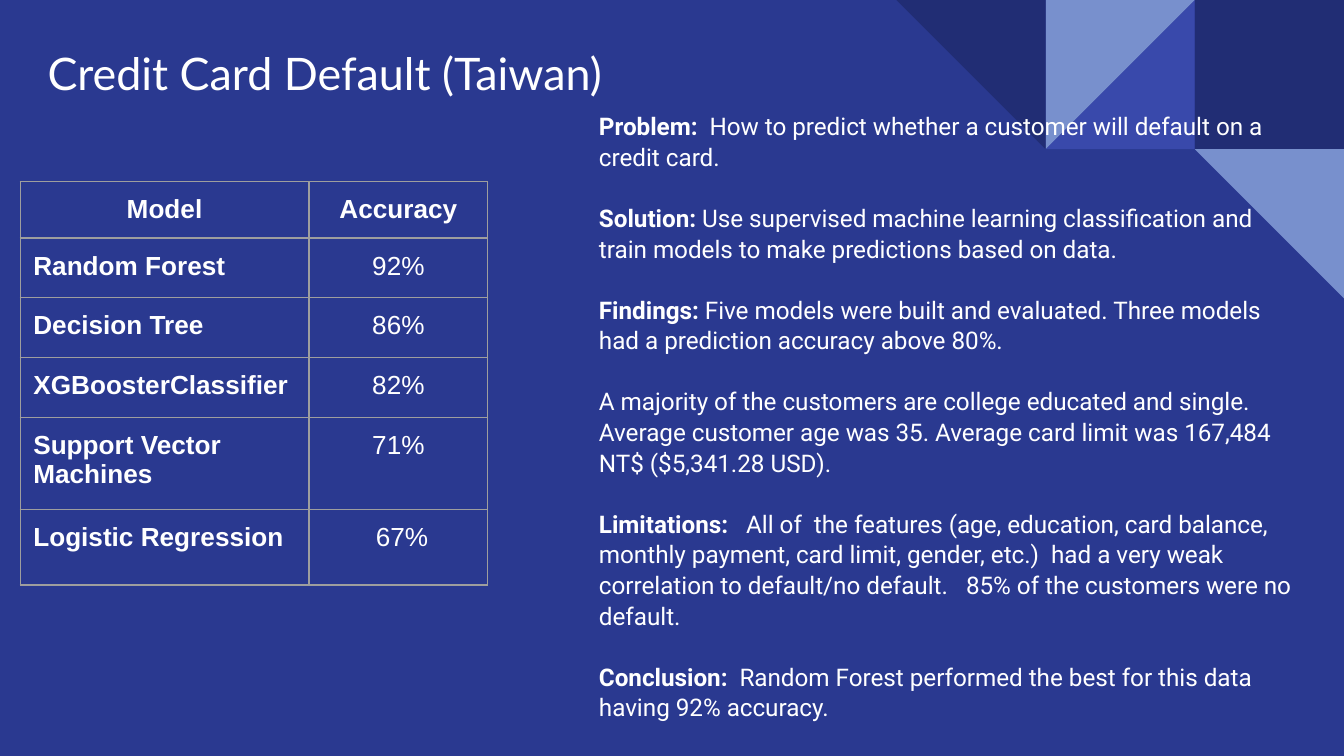
from pptx import Presentation
from pptx.dml.color import RGBColor
from pptx.enum.shapes import MSO_SHAPE as Shape
from pptx.enum.text import MSO_ANCHOR as Anchor, MSO_AUTO_SIZE as AutoSize, PP_ALIGN as Align
from pptx.oxml import parse_xml
from pptx.oxml.ns import nsdecls
from pptx.util import Cm, Pt

BLUE = RGBColor(0x2A, 0x39, 0x90)
NAVY = RGBColor(0x21, 0x2D, 0x74)
INDIGO = RGBColor(0x39, 0x49, 0xAB)
SKY = RGBColor(0x78, 0x90, 0xCD)
WHITE = RGBColor(0xFF, 0xFF, 0xFF)
GRID = "9E9E9E"

INSET = Cm(0.25)

# column, row, shape, rotation, colour
TILES = [
    (2, 0, Shape.RECTANGLE, 0, NAVY),
    (1, 0, Shape.RIGHT_TRIANGLE, 270, INDIGO),
    (1, 0, Shape.RIGHT_TRIANGLE, 90, SKY),
    (0, 0, Shape.RIGHT_TRIANGLE, 180, NAVY),
    (2, 1, Shape.RIGHT_TRIANGLE, 180, SKY),
]

SUMMARY = [
    ("Problem:  ", "How to predict whether a customer will default on a credit card."),
    ("Solution: ", "Use supervised machine learning classification and train models "
                   "to make predictions based on data."),
    ("Findings:", " Five models were built and evaluated. Three models had a "
                  "prediction accuracy above 80%."),
    ("", "A majority of the customers are college educated and single. Average customer "
         "age was 35. Average card limit was 167,484 NT$ ($5,341.28 USD)."),
    ("Limitations:   ", "All of  the features (age, education, card balance, monthly "
                        "payment, card limit, gender, etc.)  had a very weak  correlation "
                        "to default/no default.   85% of the customers were no default."),
    ("Conclusion:", "  Random Forest performed the best for this data having 92% accuracy."),
]

RESULTS = [
    ("Model", "Accuracy"),
    ("Random Forest", "92%"),
    ("Decision Tree", "86%"),
    ("XGBoosterClassifier", "82%"),
    ("Support Vector Machines", "71%"),
    ("Logistic Regression", " 67%"),
]
COLUMN_WIDTHS = [5.46, 3.38]
ROW_HEIGHTS = [1.07, 1.13, 1.13, 1.13, 1.74, 1.43]


def style_run(r, font, size, bold=False):
    r.font.name = font
    r.font.size = Pt(size)
    r.font.bold = bold
    r.font.color.rgb = WHITE


def prepare_frame(sp, box, anchor):
    """Move a placeholder to box and return its text frame."""
    sp.left, sp.top, sp.width, sp.height = map(Cm, box)
    tf = sp.text_frame
    tf.word_wrap = True
    tf.auto_size = AutoSize.NONE
    tf.vertical_anchor = anchor
    tf.margin_left = tf.margin_right = tf.margin_top = tf.margin_bottom = INSET
    return tf


def add_mosaic(slide, left, top, tile):
    """Draw the corner tiles behind everything else on the slide."""
    group = slide.shapes.add_group_shape()
    for col, row, kind, rotation, color in TILES:
        s = group.shapes.add_shape(kind, Cm(left + col * tile), Cm(top + row * tile),
                                   Cm(tile), Cm(tile))
        s.rotation = rotation
        s.shadow.inherit = False
        s.fill.solid()
        s.fill.fore_color.rgb = color
        s.line.fill.background()
    slide.shapes._spTree.insert(2, group._element)


def add_title(slide, box):
    tf = prepare_frame(slide.shapes.title, box, Anchor.BOTTOM)
    tf.text = "Credit Card Default (Taiwan)"
    p = tf.paragraphs[0]
    p.alignment = Align.CENTER
    style_run(p.runs[0], "Lato", 24)


def add_summary(slide, box):
    tf = prepare_frame(slide.placeholders[1], box, Anchor.TOP)
    for i, (label, text) in enumerate(SUMMARY):
        p = tf.add_paragraph() if i else tf.paragraphs[0]
        p.alignment = Align.LEFT
        p.line_spacing = 1.05
        p.space_before = Pt(16.4 if i else 0)
        p.space_after = Pt(0)
        for part, bold in ((label, True), (text, False)):
            if part:
                r = p.add_run()
                r.text = part
                style_run(r, "Roboto", 13, bold)


def add_borders(cell):
    tcPr = cell._tc.get_or_add_tcPr()
    for i, side in enumerate(("lnL", "lnR", "lnT", "lnB")):
        tcPr.insert(i, parse_xml(
            f'<a:{side} {nsdecls("a")} w="{Pt(0.75)}"><a:solidFill>'
            f'<a:srgbClr val="{GRID}"/></a:solidFill></a:{side}>'))


def add_results(slide, left, top):
    table = slide.shapes.add_table(
        len(RESULTS), len(COLUMN_WIDTHS), Cm(left), Cm(top),
        Cm(sum(COLUMN_WIDTHS)), Cm(sum(ROW_HEIGHTS))).table
    for column, width in zip(table.columns, COLUMN_WIDTHS):
        column.width = Cm(width)
    for row, height in zip(table.rows, ROW_HEIGHTS):
        row.height = Cm(height)
    for i, record in enumerate(RESULTS):
        for j, text in enumerate(record):
            cell = table.cell(i, j)
            cell.fill.background()
            cell.margin_left = cell.margin_right = INSET
            cell.margin_top = cell.margin_bottom = INSET
            cell.text_frame.text = text
            p = cell.text_frame.paragraphs[0]
            p.alignment = Align.CENTER if i == 0 or j == 1 else Align.LEFT
            style_run(p.runs[0], "Arial", 14, bold=i == 0 or j == 0)
            add_borders(cell)


def main():
    prs = Presentation()
    prs.slide_width, prs.slide_height = Cm(25.4), Cm(14.29)
    slide = prs.slides.add_slide(prs.slide_layouts[0])
    slide.background.fill.solid()
    slide.background.fill.fore_color.rgb = BLUE
    add_mosaic(slide, left=16.94, top=0, tile=2.82)
    add_title(slide, (0.38, 0.41, 11.51, 1.73))
    add_summary(slide, (11.07, 1.83, 13.82, 12.12))
    add_results(slide, left=0.38, top=3.43)
    prs.save("out.pptx")


if __name__ == "__main__":
    main()
